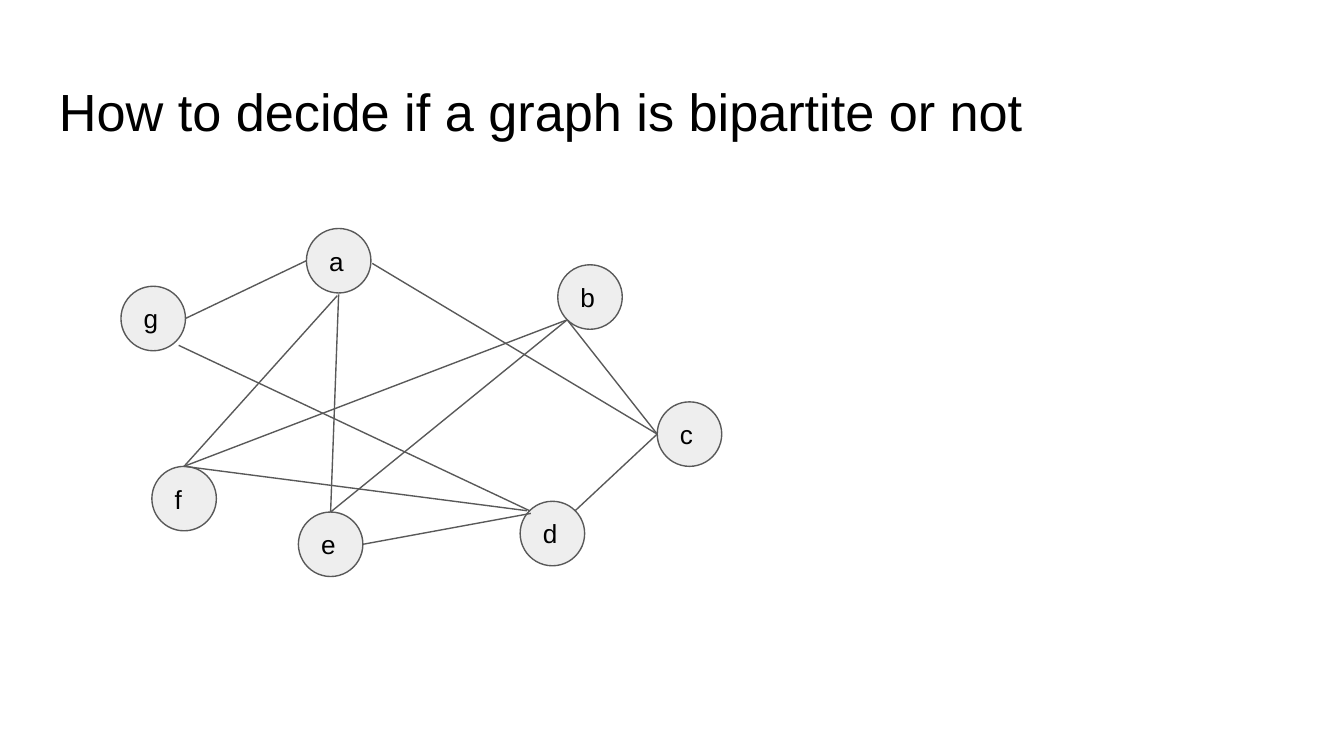
from math import cos, radians, sin
from typing import NamedTuple

from lxml.etree import SubElement
from pptx import Presentation
from pptx.dml.color import RGBColor
from pptx.enum.shapes import MSO_CONNECTOR, MSO_SHAPE
from pptx.enum.text import MSO_ANCHOR, PP_ALIGN
from pptx.oxml.ns import qn
from pptx.util import Inches, Pt

SLIDE_WIDTH = Inches(10)
SLIDE_HEIGHT = SLIDE_WIDTH * 9 // 16
BLACK = RGBColor(0x00, 0x00, 0x00)
NODE_FILL = RGBColor(0xEE, 0xEE, 0xEE)
OUTLINE = RGBColor(0x59, 0x59, 0x59)
FONT = "Arial"
DIAMETER = 0.48
INSET = Inches(0.1)
LINE_WIDTH = Pt(0.75)

# Points on a node's rim, as clockwise angles from the right
ANGLES = {"E": 0, "SE": 45, "S": 90, "SW": 135, "W": 180, "NW": 225, "N": 270, "NE": 315}


class Node(NamedTuple):
    left: float
    top: float

    def rim(self, side: str) -> tuple[float, float]:
        angle = radians(ANGLES[side])
        radius = DIAMETER / 2
        return (self.left + radius * (1 + cos(angle)),
                self.top + radius * (1 + sin(angle)))


class Edge(NamedTuple):
    start: str
    start_side: str
    end: str
    end_side: str
    shift_x: float = 0  # small offset of the start from the rim
    shift_y: float = 0


NODES = {
    "a": Node(2.28, 1.70),
    "b": Node(4.15, 1.97),
    "g": Node(0.90, 2.13),
    "f": Node(1.13, 3.47),
    "e": Node(2.22, 3.81),
    "d": Node(3.87, 3.73),
    "c": Node(4.89, 2.99),
}
EDGES = [
    Edge("g", "E", "a", "W"),
    Edge("a", "E", "c", "W", 0.01, 0.02),
    Edge("a", "S", "f", "N", -0.01, 0.02),
    Edge("a", "S", "e", "N", 0, 0.01),
    Edge("b", "SW", "c", "W"),
    Edge("b", "SW", "e", "N"),
    Edge("b", "SW", "f", "N"),
    Edge("g", "SE", "d", "NW", 0.02, 0.03),
    Edge("d", "NE", "c", "W"),
    Edge("d", "NW", "f", "N", -0.02, 0),
    Edge("d", "NW", "e", "E", 0.01, 0.02),
]


def write_text(shape, text: str, size: float, anchor: MSO_ANCHOR) -> None:
    frame = shape.text_frame
    frame.word_wrap = True
    frame.vertical_anchor = anchor
    frame.margin_left = frame.margin_right = INSET
    frame.margin_top = frame.margin_bottom = INSET
    paragraph = frame.paragraphs[0]
    paragraph.text = text
    paragraph.alignment = PP_ALIGN.LEFT
    paragraph.font.name = FONT
    paragraph.font.size = Pt(size)
    paragraph.font.color.rgb = BLACK


def draw_node(slide, label: str, node: Node) -> None:
    circle = slide.shapes.add_shape(
        MSO_SHAPE.FLOWCHART_CONNECTOR, Inches(node.left), Inches(node.top),
        Inches(DIAMETER), Inches(DIAMETER))
    circle.shadow.inherit = False
    circle.fill.solid()
    circle.fill.fore_color.rgb = NODE_FILL
    circle.line.color.rgb = OUTLINE
    circle.line.width = LINE_WIDTH
    write_text(circle, label, 14, MSO_ANCHOR.MIDDLE)


def draw_edge(slide, edge: Edge) -> None:
    start_x, start_y = NODES[edge.start].rim(edge.start_side)
    end_x, end_y = NODES[edge.end].rim(edge.end_side)
    line = slide.shapes.add_connector(
        MSO_CONNECTOR.STRAIGHT,
        Inches(start_x + edge.shift_x), Inches(start_y + edge.shift_y),
        Inches(end_x), Inches(end_y))
    line.line.color.rgb = OUTLINE
    line.line.width = LINE_WIDTH
    SubElement(line._element.spPr, qn("a:effectLst"))


presentation = Presentation()
presentation.slide_width = SLIDE_WIDTH
presentation.slide_height = SLIDE_HEIGHT
slide = presentation.slides.add_slide(presentation.slide_layouts[6])

# Title
title = slide.shapes.add_textbox(Inches(0.34), Inches(0.49), Inches(9.32), Inches(0.63))
write_text(title, "How to decide if a graph is bipartite or not", 28, MSO_ANCHOR.TOP)

# Graph
for label, node in NODES.items():
    draw_node(slide, label, node)
for edge in EDGES:
    draw_edge(slide, edge)

presentation.save("out.pptx")
